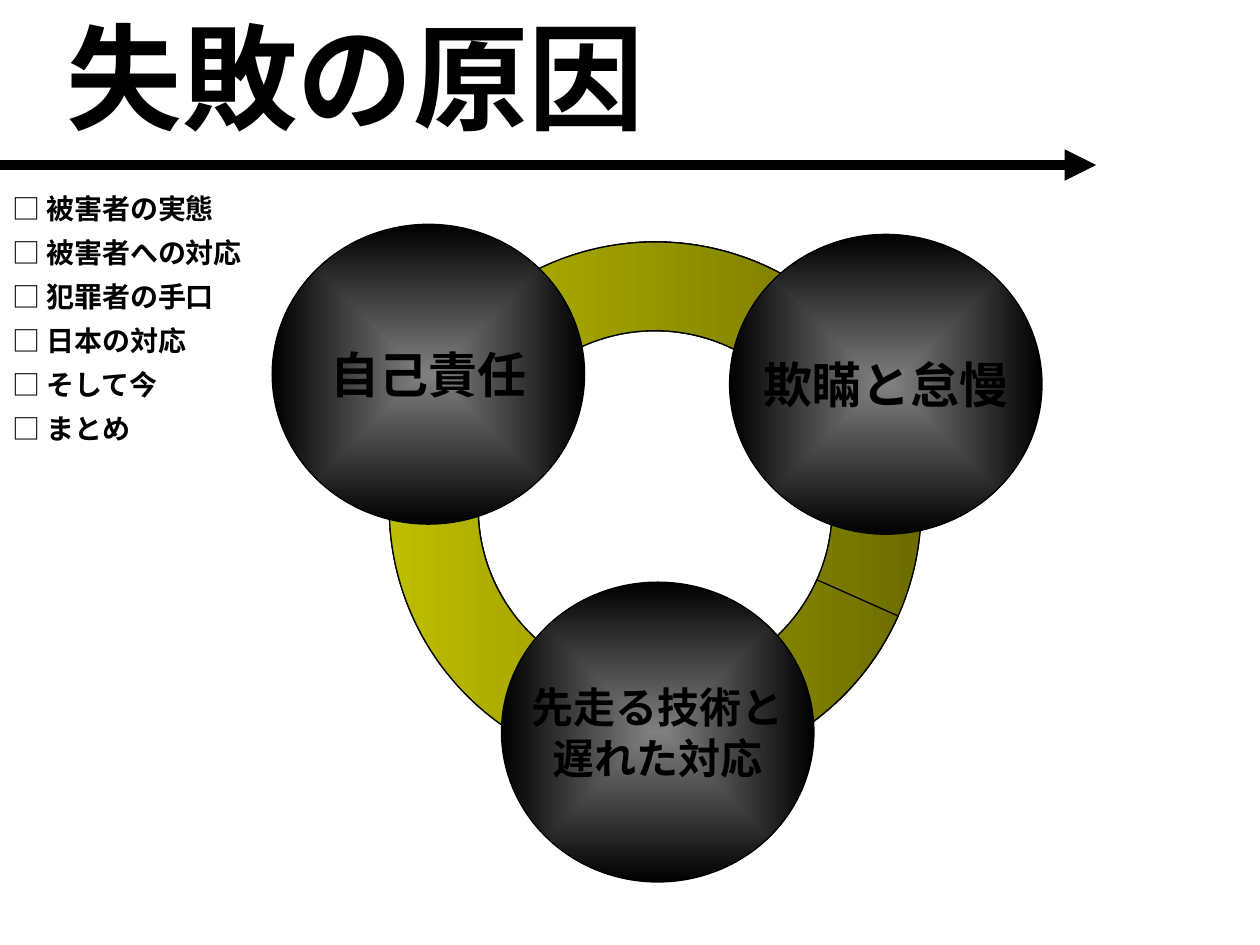
from lxml import etree
from pptx import Presentation
from pptx.dml.color import RGBColor
from pptx.enum import shapes, text
from pptx.oxml import ns, parse_xml
from pptx.util import Inches, Pt

BLACK = RGBColor(0x00, 0x00, 0x00)
GRAY = RGBColor(0x80, 0x80, 0x80)
OLIVE = RGBColor(0x5E, 0x5E, 0x00)
YELLOW = RGBColor(0xCC, 0xCC, 0x00)

TOPICS = ["被害者の実態", "被害者への対応", "犯罪者の手口",
          "日本の対応", "そして今", "まとめ"]
CAUSES = [
    (2.16, 1.78, ["自己責任"], 28),
    (5.79, 1.86, ["欺瞞と怠慢"], 28),
    (3.98, 4.62, ["先走る技術と", "遅れた対応"], 24),
]


def write(frame, lines, size, font="Arial", align=None, space=0, marker=""):
    for index, line in enumerate(lines):
        para = frame.paragraphs[0] if index == 0 else frame.add_paragraph()
        para.alignment = align
        para.space_before = Pt(space if index else 0)
        for words, bold in ((marker, False), (line, True)):
            if words:
                span = para.add_run()
                span.text = words
                span.font.size = Pt(size)
                span.font.name = font
                span.font.bold = bold
                span.font.color.rgb = BLACK


def add_text(page, left, top, width, height, lines, size, **style):
    box = page.shapes.add_textbox(Inches(left), Inches(top), Inches(width), Inches(height))
    box.text_frame.word_wrap = True
    box.text_frame.auto_size = text.MSO_AUTO_SIZE.SHAPE_TO_FIT_TEXT
    write(box.text_frame, lines, size, **style)


def add_arrow(page, left, right, y):
    arrow = page.shapes.add_connector(
        shapes.MSO_CONNECTOR.STRAIGHT, Inches(left), Inches(y), Inches(right), Inches(y))
    arrow.line.color.rgb = BLACK
    arrow.line.width = Pt(6)
    etree.SubElement(arrow.line._get_or_add_ln(), ns.qn("a:tailEnd"), type="triangle")
    etree.SubElement(arrow._element.spPr, ns.qn("a:effectLst"))


def add_gradient_shape(page, kind, left, top, width, height, colors):
    shape = page.shapes.add_shape(
        kind, Inches(left), Inches(top), Inches(width), Inches(height))
    shape.shadow.inherit = False
    shape.line.color.rgb = BLACK
    shape.line.width = Pt(0.75)
    shape.fill.gradient()
    for stop, color, position in zip(shape.fill.gradient_stops, colors, (0, 1)):
        stop.color.rgb = color
        stop.position = position
    return shape


def add_arc(page, rotation):
    arc = add_gradient_shape(page, shapes.MSO_SHAPE.BLOCK_ARC,
                             3.09, 1.92, 4.22, 4.22, (OLIVE, YELLOW))
    for index, value in enumerate((86.4, 43.2, 0.167)):
        arc.adjustments[index] = value
    arc.rotation = rotation
    arc.fill.gradient_angle = (180 + rotation) % 360


def add_cause(page, left, top, lines, size):
    ball = add_gradient_shape(page, shapes.MSO_SHAPE.OVAL,
                              left, top, 2.48, 2.38, (GRAY, BLACK))
    linear = ball._element.spPr.find(".//" + ns.qn("a:lin"))
    linear.getparent().replace(linear, parse_xml(
        f'<a:path {ns.nsdecls("a")} path="rect">'
        '<a:fillToRect l="50000" t="50000" r="50000" b="50000"/></a:path>'))
    frame = ball.text_frame
    frame.word_wrap = False
    frame.vertical_anchor = text.MSO_ANCHOR.MIDDLE
    write(frame, lines, size, align=text.PP_ALIGN.CENTER)


def main():
    deck = Presentation()
    deck.slide_width, deck.slide_height = Inches(10), Inches(7.5)
    page = deck.slides.add_slide(deck.slide_layouts[6])
    add_text(page, 0, 1.47, 2.56, 2.12, TOPICS, 16, space=6, marker="□ ")
    add_arrow(page, 0, 8.7, 1.31)
    add_text(page, 0.43, 0, 6.61, 1.2, ["失敗の原因"], 66, font="Montserrat")
    for rotation in (0, 120, 240):
        add_arc(page, rotation)
    for cause in CAUSES:
        add_cause(page, *cause)
    deck.save("out.pptx")


if __name__ == "__main__":
    main()
